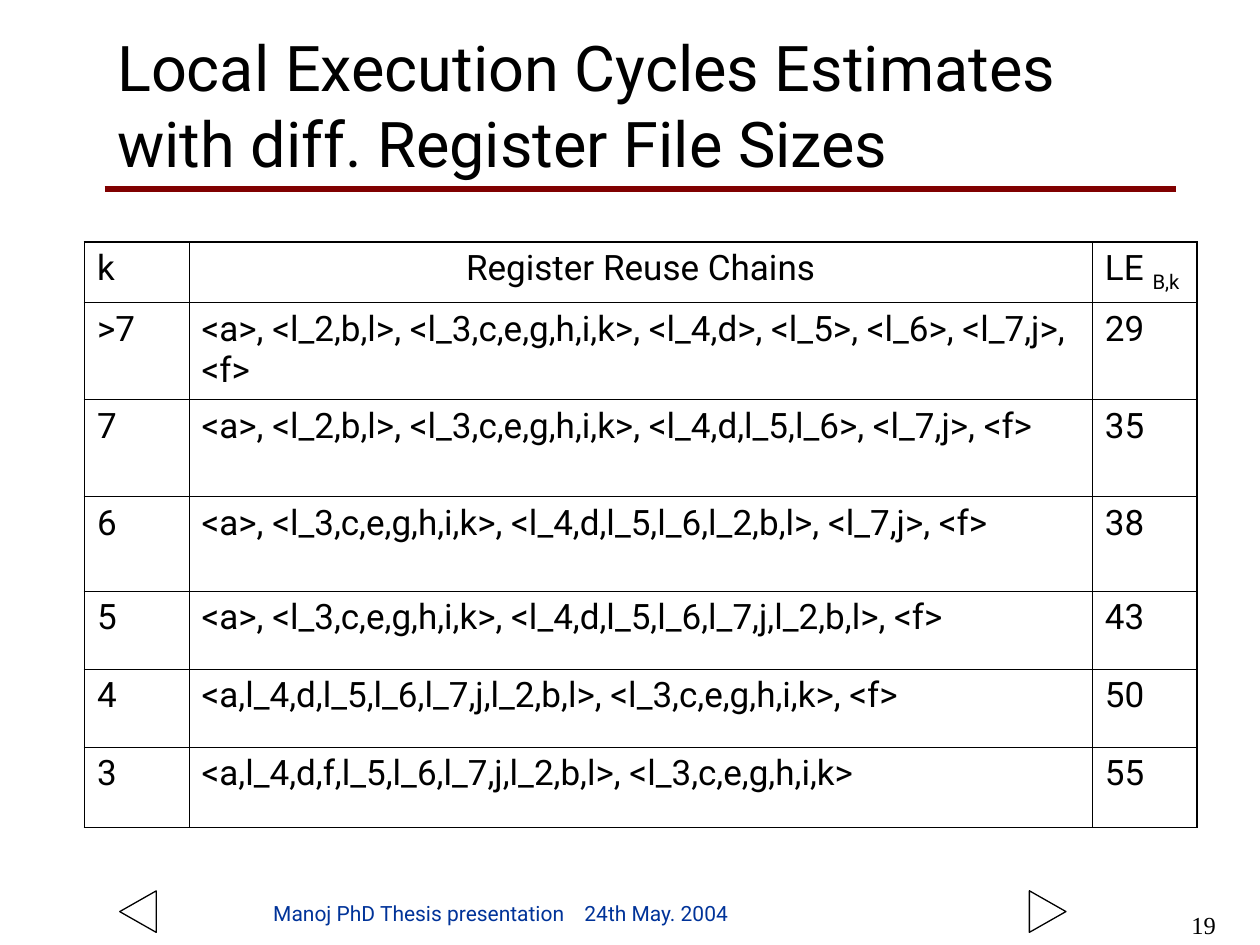
from lxml import etree
from pptx import Presentation
from pptx.dml.color import RGBColor
from pptx.enum.shapes import MSO_CONNECTOR, MSO_SHAPE
from pptx.enum.text import MSO_ANCHOR, MSO_AUTO_SIZE, PP_ALIGN
from pptx.oxml.ns import qn
from pptx.util import Inches, Pt

LEFT, CENTER, RIGHT = PP_ALIGN.LEFT, PP_ALIGN.CENTER, PP_ALIGN.RIGHT
TOP, MIDDLE, BOTTOM = MSO_ANCHOR.TOP, MSO_ANCHOR.MIDDLE, MSO_ANCHOR.BOTTOM
NO_AUTOFIT = MSO_AUTO_SIZE.NONE
STRAIGHT = MSO_CONNECTOR.STRAIGHT
TRIANGLE = MSO_SHAPE.ISOSCELES_TRIANGLE

COLORS = {"text": "000000", "rule": "800000", "footer": "003399"}
BODY_FONT, NUMBER_FONT = "Roboto", "Times New Roman"
OUTER_BORDER, INNER_BORDER = 1.08, 0.45

COLUMN_WIDTHS = [0.83, 7.17, 0.83]
ROW_HEIGHTS = [0.48, 0.77, 0.77, 0.75, 0.62, 0.62, 0.64]
ESTIMATES = [
    ("k", "Register Reuse Chains", "LE "),
    (">7", "<a>, <l_2,b,l>, <l_3,c,e,g,h,i,k>, <l_4,d>, <l_5>, <l_6>, <l_7,j>, <f>", "29"),
    ("7", "<a>, <l_2,b,l>, <l_3,c,e,g,h,i,k>, <l_4,d,l_5,l_6>, <l_7,j>, <f>", "35"),
    ("6", "<a>, <l_3,c,e,g,h,i,k>, <l_4,d,l_5,l_6,l_2,b,l>, <l_7,j>, <f>", "38"),
    ("5", "<a>, <l_3,c,e,g,h,i,k>, <l_4,d,l_5,l_6,l_7,j,l_2,b,l>, <f>", "43"),
    ("4", "<a,l_4,d,l_5,l_6,l_7,j,l_2,b,l>, <l_3,c,e,g,h,i,k>, <f>", "50"),
    ("3", "<a,l_4,d,f,l_5,l_6,l_7,j,l_2,b,l>, <l_3,c,e,g,h,i,k>", "55"),
]


def rgb(name):
    return RGBColor.from_string(COLORS[name])


def add_run(paragraph, text, size, font=BODY_FONT, color="text"):
    run = paragraph.add_run()
    run.text = text
    for attribute, value in {"size": Pt(size), "name": font, "bold": False}.items():
        setattr(run.font, attribute, value)
    run.font.color.rgb = rgb(color)
    return run


def format_frame(frame, anchor):
    values = {"word_wrap": True, "auto_size": NO_AUTOFIT, "vertical_anchor": anchor}
    for attribute, value in values.items():
        setattr(frame, attribute, value)


def add_label(slide, left, top, width, height, anchor, align):
    """Add an empty text box and return its paragraph."""
    box = slide.shapes.add_textbox(Inches(left), Inches(top), Inches(width), Inches(height))
    format_frame(box.text_frame, anchor)
    paragraph = box.text_frame.paragraphs[0]
    paragraph.alignment = align
    return paragraph


def add_heading(slide, left, top, width, height):
    rule_y = Inches(top + height + 0.17)
    rule = slide.shapes.add_connector(
        STRAIGHT, Inches(left), rule_y, Inches(left + width + 0.17), rule_y)
    rule.line.color.rgb = rgb("rule")
    rule.line.width = Pt(3)
    etree.SubElement(rule._element.spPr, qn("a:effectLst"))

    title = slide.shapes.title
    title.left, title.top = Inches(left), Inches(top)
    title.width, title.height = Inches(width), Inches(height)
    format_frame(title.text_frame, MIDDLE)
    paragraph = title.text_frame.paragraphs[0]
    paragraph.alignment = LEFT
    add_run(paragraph, "Local Execution Cycles Estimates with diff. Register File Sizes", 36)


def set_borders(cell, widths):
    """Draw the cell's sides; widths maps L, R, T and B to points."""
    properties = cell._tc.get_or_add_tcPr()
    for side, width in widths.items():
        line = etree.SubElement(properties, qn(f"a:ln{side}"), w=str(Pt(width)))
        fill = etree.SubElement(line, qn("a:solidFill"))
        etree.SubElement(fill, qn("a:srgbClr"), val=COLORS["text"])


def add_estimates_table(slide, left, top):
    last_row, last_column = len(ROW_HEIGHTS) - 1, len(COLUMN_WIDTHS) - 1
    table = slide.shapes.add_table(
        len(ROW_HEIGHTS), len(COLUMN_WIDTHS), Inches(left), Inches(top),
        Inches(sum(COLUMN_WIDTHS)), Inches(sum(ROW_HEIGHTS))).table
    table.first_row = table.horz_banding = False
    for column, width in zip(table.columns, COLUMN_WIDTHS):
        column.width = Inches(width)
    for row, height in zip(table.rows, ROW_HEIGHTS):
        row.height = Inches(height)

    for r, values in enumerate(ESTIMATES):
        for c, value in enumerate(values):
            cell = table.cell(r, c)
            on_edge = {"L": c == 0, "R": c == last_column, "T": r == 0, "B": r == last_row}
            set_borders(cell, {side: OUTER_BORDER if edge else INNER_BORDER
                               for side, edge in on_edge.items()})
            cell.fill.background()
            paragraph = cell.text_frame.paragraphs[0]
            paragraph.space_before = Pt(5) if r else Pt(0)
            paragraph.alignment = CENTER if (r, c) == (0, 1) else LEFT
            paragraph.space_before = Pt(0)
            add_run(paragraph, value, 20)

    subscript = add_run(table.cell(0, last_column).text_frame.paragraphs[0], "B,k", 20)
    subscript.font._element.set("baseline", "-25000")


def add_arrow(slide, left, top, rotation):
    arrow = slide.shapes.add_shape(
        TRIANGLE, Inches(left), Inches(top), Inches(0.33), Inches(0.29))
    arrow.rotation = rotation
    arrow.shadow.inherit = False
    arrow.fill.background()
    arrow.line.color.rgb = rgb("text")
    arrow.line.width = Pt(0.75)


def add_footer(slide, left, top):
    add_arrow(slide, left, top + 0.02, 270)
    add_arrow(slide, left + 7.22, top + 0.02, 90)

    credit = add_label(slide, left + 1.14, top, 5.58, 0.33, BOTTOM, LEFT)
    tabs = etree.SubElement(credit._p.get_or_add_pPr(), qn("a:tabLst"))
    etree.SubElement(tabs, qn("a:tab"), pos=str(Inches(2.47)), algn="l")
    add_run(credit, "Manoj PhD Thesis presentation\t24th May. 2004", 12, color="footer")

    number = add_label(slide, left + 8.15, top + 0.1, 0.67, 0.33, TOP, RIGHT)
    add_run(number, "19", 14, NUMBER_FONT)


def main():
    presentation = Presentation()
    presentation.slide_width, presentation.slide_height = Inches(10), Inches(7.5)
    slide = presentation.slides.add_slide(presentation.slide_layouts[5])
    add_heading(slide, 0.83, 0.33, 8.33, 1)
    add_estimates_table(slide, 0.67, 1.92)
    add_footer(slide, 0.93, 7.07)
    presentation.save("out.pptx")


if __name__ == "__main__":
    main()
